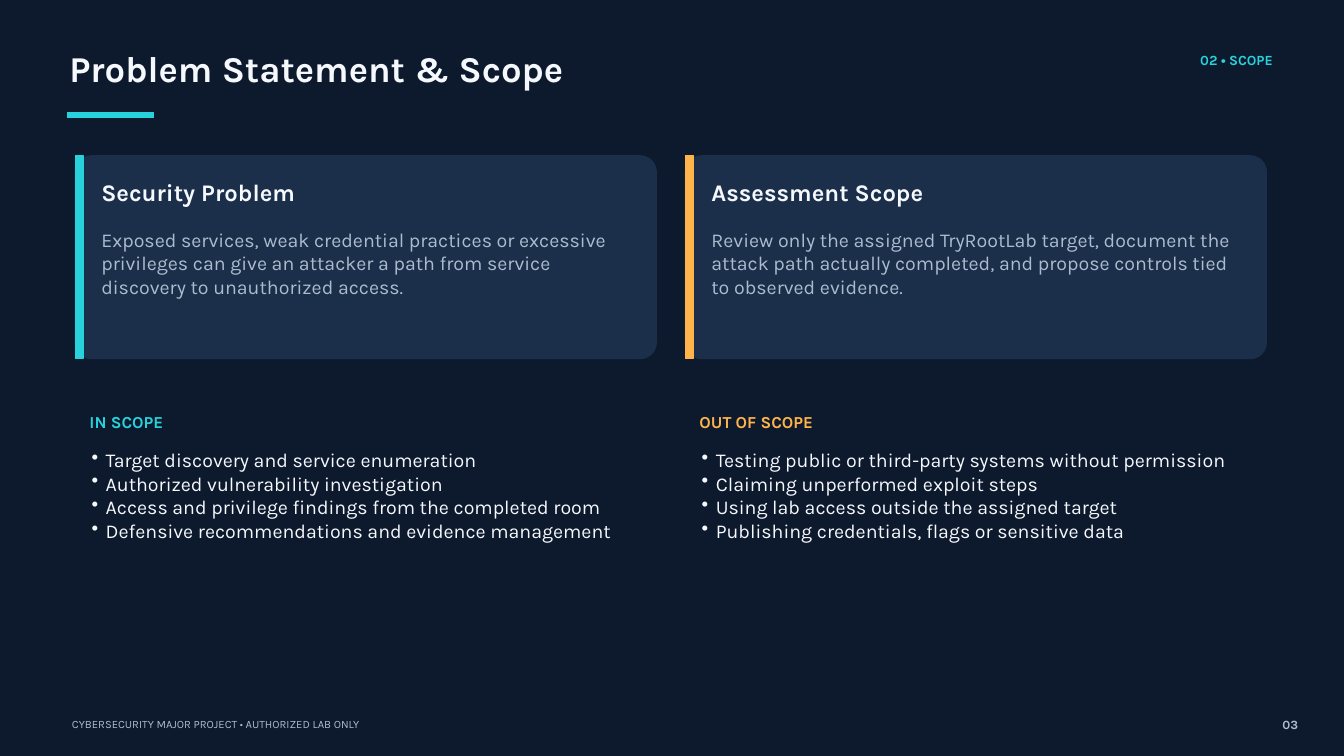
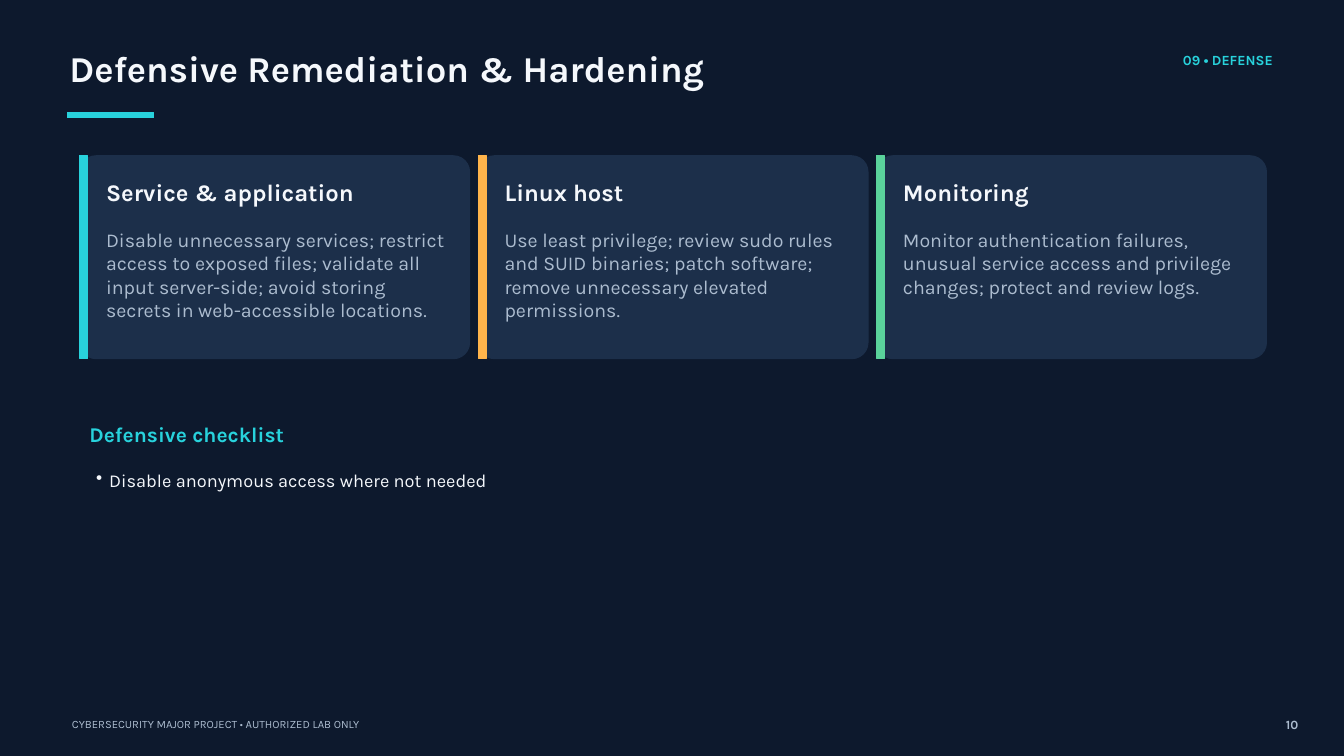
from dataclasses import dataclass
from lxml.etree import SubElement
from pptx import Presentation
from pptx.dml.color import RGBColor
from pptx.enum.shapes import MSO_SHAPE
from pptx.enum.text import PP_ALIGN
from pptx.oxml.ns import qn
from pptx.util import Cm, Pt


@dataclass(frozen=True)
class Theme:
    font: str = "Karla"
    back: str = "0D192D"
    card: str = "1C2F4A"
    white: str = "F5F8FC"
    grey: str = "ACBCCF"
    cyan: str = "28D2DC"
    amber: str = "FFB44B"
    green: str = "5AD29B"
    title: float = 39
    head: float = 25.5
    check: float = 22.5
    body: float = 21
    item: float = 19.5
    label: float = 18
    tag: float = 15
    page: float = 13.5
    foot: float = 12


T = Theme()


def write(slide, text, left, top, width, height, size, color=T.white,
          bold=False, right=False, bullet=False):
    """Add a text box; each line of text becomes a paragraph."""
    box = slide.shapes.add_textbox(Cm(left), Cm(top), Cm(width), Cm(height))
    frame = box.text_frame
    frame.word_wrap = True
    frame.margin_left = frame.margin_right = 0
    frame.margin_top = frame.margin_bottom = 0
    frame.text = text
    for para in frame.paragraphs:
        para.line_spacing = Pt(size * 1.2)
        para.alignment = PP_ALIGN.RIGHT if right else PP_ALIGN.LEFT
        if bullet:
            indent = Cm(size * 0.0255)
            props = para._p.get_or_add_pPr()
            props.set("marL", str(indent))
            props.set("indent", str(-indent))
            SubElement(props, qn("a:buChar"), char="•")
        font = para.font
        font.name, font.size, font.bold = T.font, Pt(size), bold
        font.color.rgb = RGBColor.from_string(color)


def block(slide, left, top, width, height, color, radius=0):
    """Add a filled rectangle, rounded if a radius is given."""
    kind = MSO_SHAPE.ROUNDED_RECTANGLE if radius else MSO_SHAPE.RECTANGLE
    shape = slide.shapes.add_shape(kind, Cm(left), Cm(top), Cm(width), Cm(height))
    if radius:
        shape.adjustments[0] = radius / min(width, height)
    shape.shadow.inherit = False
    shape.fill.solid()
    shape.fill.fore_color.rgb = RGBColor.from_string(color)
    shape.line.color.rgb = RGBColor.from_string(color)
    shape.line.width = Pt(1.13)


# Content of each slide
scope = dict(
    title="Problem Statement & Scope", tag="02 • SCOPE", page="03",
    left=2.84, width=21.97, pitch=23.06,
    cards=[
        ("Security Problem", T.cyan,
         "Exposed services, weak credential practices or excessive privileges "
         "can give an attacker a path from service discovery to unauthorized access."),
        ("Assessment Scope", T.amber,
         "Review only the assigned TryRootLab target, document the attack path "
         "actually completed, and propose controls tied to observed evidence."),
    ])
defense = dict(
    title="Defensive Remediation & Hardening", tag="09 • DEFENSE", page="10",
    left=3.02, width=14.73, pitch=15.06,
    cards=[
        ("Service & application", T.cyan,
         "Disable unnecessary services; restrict access to exposed files; validate "
         "all input server-side; avoid storing secrets in web-accessible locations."),
        ("Linux host", T.amber,
         "Use least privilege; review sudo rules and SUID binaries; patch software; "
         "remove unnecessary elevated permissions."),
        ("Monitoring", T.green,
         "Monitor authentication failures, unusual service access and privilege "
         "changes; protect and review logs."),
    ])
lists = [
    ("IN SCOPE", T.cyan, [
        "Target discovery and service enumeration",
        "Authorized vulnerability investigation",
        "Access and privilege findings from the completed room",
        "Defensive recommendations and evidence management"]),
    ("OUT OF SCOPE", T.amber, [
        "Testing public or third-party systems without permission",
        "Claiming unperformed exploit steps",
        "Using lab access outside the assigned target",
        "Publishing credentials, flags or sensitive data"]),
]

deck = Presentation()
deck.slide_width, deck.slide_height = Cm(50.8), Cm(28.58)
pages = []

# Frame and row of cards on both slides
for data in (scope, defense):
    slide = deck.slides.add_slide(deck.slide_layouts[6])
    pages.append(slide)
    slide.background.fill.solid()
    slide.background.fill.fore_color.rgb = RGBColor.from_string(T.back)

    # Title, section tag and footer
    write(slide, data["title"], 2.62, 1.73, 45.11, 1.85, T.title, bold=True)
    block(slide, 2.54, 4.25, 3.28, 0.21, T.cyan)
    write(slide, data["tag"], 39.78, 1.96, 8.33, 0.89, T.tag, T.cyan,
          bold=True, right=True)
    write(slide, data["page"], 47.98, 27.1, 1.09, 0.53, T.page, T.grey,
          bold=True, right=True)
    write(slide, "CYBERSECURITY MAJOR PROJECT • AUTHORIZED LAB ONLY",
          2.72, 27.13, 37.11, 0.51, T.foot, T.grey)

    # Cards with a coloured edge
    wide = data["width"]
    for i, (head, color, body) in enumerate(data["cards"]):
        left = data["left"] + i * data["pitch"]
        block(slide, left, 5.89, wide, 7.67, T.card, radius=0.61)
        block(slide, left, 5.89, 0.3, 7.67, color)
        write(slide, head, left + 0.99, 6.73, wide - 1.9, 1.19, T.head, bold=True)
        write(slide, body, left + 0.99, 8.61, wide - 1.9, 4.27, T.body, T.grey)

# Scope lists below the cards
for i, (label, color, items) in enumerate(lists):
    left = 3.38 + i * scope["pitch"]
    write(pages[0], label, left, 15.57, 7.37, 0.89, T.label, color, bold=True)
    write(pages[0], "\n".join(items), left + 0.08, 16.94, 21.13, 6.93, T.body,
          bullet=True)

# Checklist below the cards
write(pages[1], "Defensive checklist", 3.38, 15.95, 24.54, 1.09, T.check, T.cyan,
      bold=True)
write(pages[1], "Disable anonymous access where not needed",
      3.63, 17.75, 43.05, 6.35, T.item, bullet=True)

deck.save("out.pptx")
